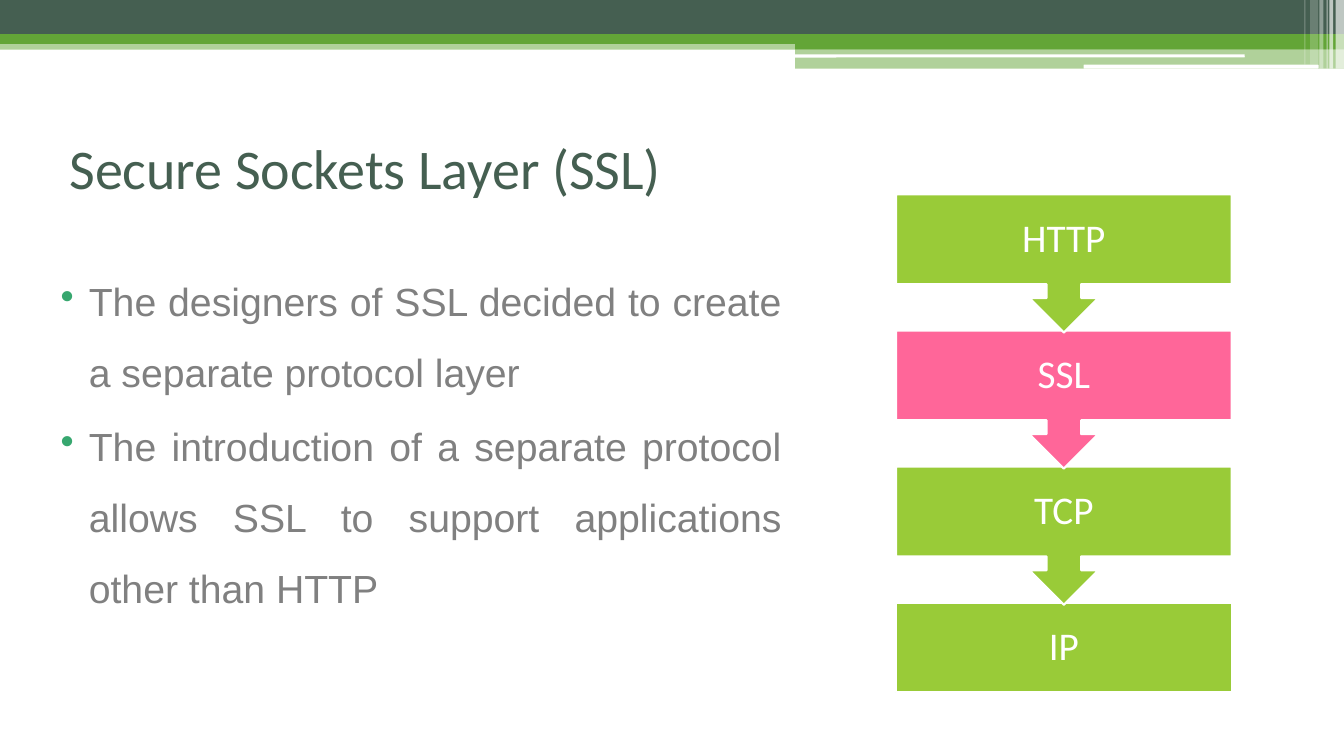
from lxml import etree
from pptx import Presentation
from pptx.dml.color import RGBColor
from pptx.enum.shapes import MSO_SHAPE
from pptx.enum.text import MSO_ANCHOR, PP_ALIGN
from pptx.oxml.ns import qn
from pptx.util import Cm, Pt

RECT = MSO_SHAPE.RECTANGLE
ROUNDED = MSO_SHAPE.ROUNDED_RECTANGLE
CALLOUT = MSO_SHAPE.DOWN_ARROW_CALLOUT
MIDDLE = MSO_ANCHOR.MIDDLE
CENTER = PP_ALIGN.CENTER
JUSTIFY = PP_ALIGN.JUSTIFY

DARK, GREEN, WHITE = "455F51", "63A537", "FFFFFF"
LIME, PINK, GRAY, TEAL = "99CB38", "FF6699", "808080", "37A76F"


def color(hex_code):
    return RGBColor.from_string(hex_code)


def add_block(kind, left, top, width, height, fill):
    block = slide.shapes.add_shape(kind, Cm(left), Cm(top), Cm(width), Cm(height))
    block.shadow.inherit = False
    block.fill.solid()
    block.fill.fore_color.rgb = color(fill)
    block.line.fill.background()
    return block


prs = Presentation()
prs.slide_width, prs.slide_height = Cm(33.87), Cm(19.05)
slide = prs.slides.add_slide(prs.slide_layouts[6])

banner = [
    (RECT, 0, 1.02, 33.87, 0.23, GREEN, 50),
    (RECT, 0, 0, 33.87, 0.86, DARK, 100),
    (RECT, 0, 0.86, 33.87, 0.25, GREEN, 100),
    (RECT, 20.04, 0.99, 13.83, 0.25, GREEN, 100),
    (RECT, 20.04, 1.22, 13.83, 0.51, GREEN, 50),
    (ROUNDED, 20.02, 1.37, 11.35, 0.08, WHITE, 100),
    (ROUNDED, 27.31, 1.63, 5.92, 0.1, WHITE, 100),
    (RECT, 33.66, 0, 0.21, 1.73, WHITE, 65),
    (RECT, 33.5, 0, 0.1, 1.73, WHITE, 65),
    (RECT, 33.43, 0, 0.03, 1.73, WHITE, 60),
    (RECT, 33.25, 0, 0.1, 1.73, WHITE, 40),
    (RECT, 33.02, 0, 0.2, 1.63, WHITE, 20),
    (RECT, 32.87, 0, 0.03, 1.63, WHITE, 30),
]
for *geometry, fill, opacity in banner:
    stripe = add_block(*geometry, fill)
    if opacity < 100:
        tint = stripe.fill._xPr.find(qn("a:solidFill"))[0]
        etree.SubElement(tint, qn("a:alpha"), val=str(opacity * 1000))

title = slide.shapes.add_textbox(Cm(1.5), Cm(2.72), Cm(30.48), Cm(2.97)).text_frame
title.word_wrap = True
title.vertical_anchor = MIDDLE
heading = title.paragraphs[0]
heading.text = "Secure Sockets Layer (SSL)"
heading.font.name, heading.font.size = "Calibri", Pt(40)
heading.font.color.rgb = color(DARK)

points = [
    "The designers of SSL decided to create a separate protocol layer",
    "The introduction of a separate protocol allows SSL to support applications other than HTTP",
]
body = slide.shapes.add_textbox(Cm(0.97), Cm(6.27), Cm(18.97), Cm(13.39)).text_frame
body.word_wrap = True
for index, text in enumerate(points):
    point = body.add_paragraph() if index else body.paragraphs[0]
    point.text = text
    point.alignment = JUSTIFY
    point.line_spacing = 1.5
    point.space_before = Pt(3)
    point.font.name, point.font.size = "Arial", Pt(28)
    point.font.color.rgb = color(GRAY)
    settings = point._p.get_or_add_pPr()
    settings.set("marL", str(Cm(1.02)))
    settings.set("indent", str(Cm(-0.71)))
    bullet_color = etree.Element(qn("a:buClr"))
    etree.SubElement(bullet_color, qn("a:srgbClr"), val=TEAL)
    bullet = etree.Element(qn("a:buChar"), char="•")
    defaults = settings.find(qn("a:defRPr"))
    defaults.addprevious(bullet_color)
    defaults.addprevious(bullet)

layers = [
    ("HTTP", CALLOUT, 3.48, LIME),
    ("SSL", CALLOUT, 3.48, PINK),
    ("TCP", CALLOUT, 3.48, LIME),
    ("IP", RECT, 2.26, LIME),
]
for index, (name, kind, height, fill) in reversed(list(enumerate(layers))):
    layer = add_block(kind, 22.58, 4.9 + 3.43 * index, 8.46, height, fill)
    layer.line.color.rgb = color(WHITE)
    layer.line.width = Pt(1.5)
    frame = layer.text_frame
    frame.vertical_anchor = MIDDLE
    label = frame.paragraphs[0]
    label.text = name
    label.alignment = CENTER
    label.line_spacing = 0.9
    label.font.name, label.font.size = "Calibri", Pt(28)
    label.font.color.rgb = color(WHITE)

prs.save("out.pptx")
